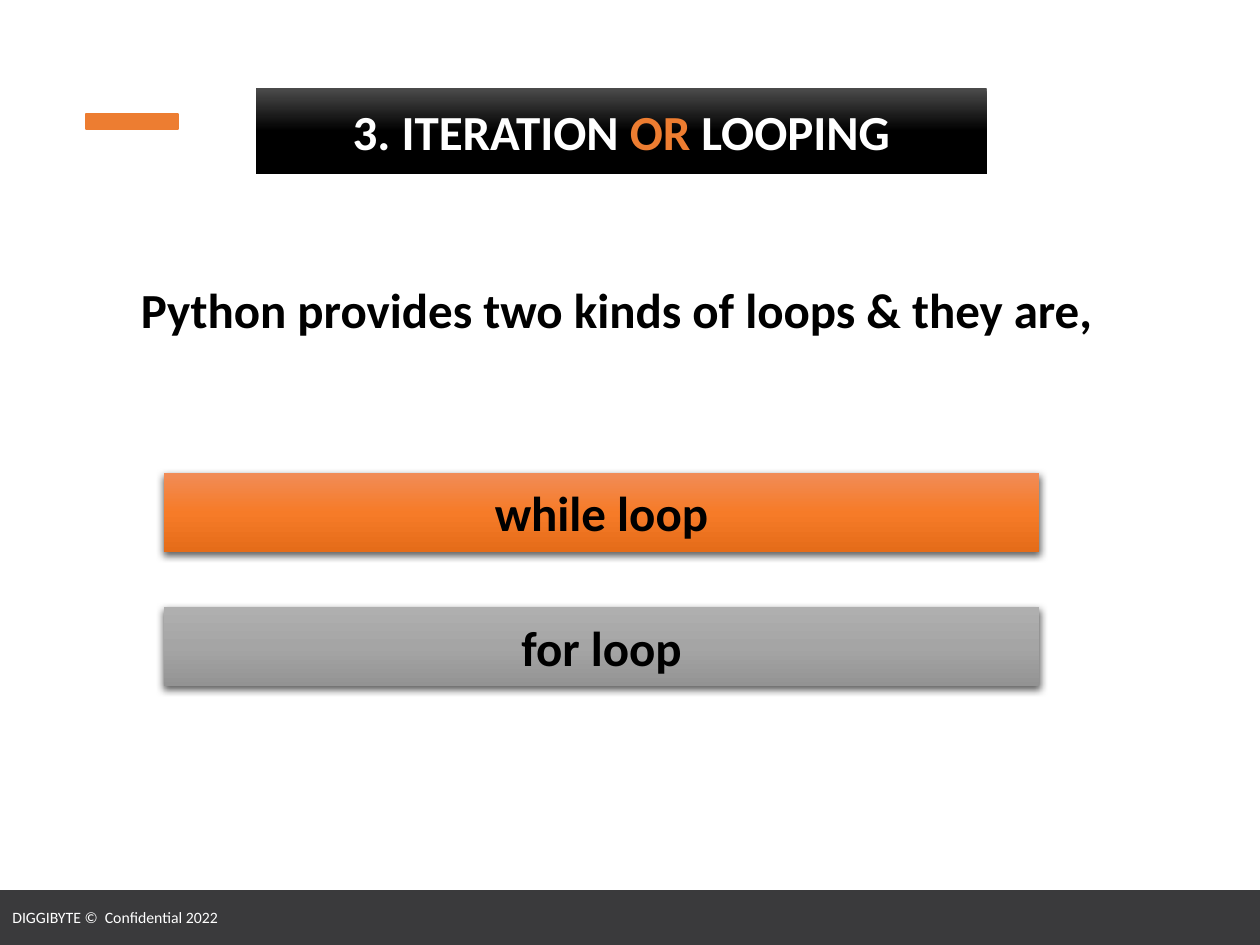
from lxml import etree
from pptx import Presentation
from pptx.dml.color import RGBColor
from pptx.enum.shapes import MSO_SHAPE
from pptx.enum.text import MSO_ANCHOR, PP_ALIGN
from pptx.oxml.ns import qn
from pptx.util import Cm, Pt

RECTANGLE = MSO_SHAPE.RECTANGLE
MIDDLE, TOP = MSO_ANCHOR.MIDDLE, MSO_ANCHOR.TOP
LEFT, CENTER = PP_ALIGN.LEFT, PP_ALIGN.CENTER

BLACK = RGBColor(0x00, 0x00, 0x00)
WHITE = RGBColor(0xFF, 0xFF, 0xFF)
ORANGE = RGBColor(0xED, 0x7D, 0x31)
CHARCOAL = RGBColor(0x3A, 0x3A, 0x3C)

# Gradient colours from top to bottom, evenly spaced
TITLE_SHADES = (RGBColor(0x4B, 0x4B, 0x4B), BLACK, BLACK)
ORANGE_SHADES = (RGBColor(0xF1, 0x8C, 0x57), RGBColor(0xF6, 0x7B, 0x28),
                 RGBColor(0xE5, 0x6C, 0x19))
GRAY_SHADES = (RGBColor(0xAF, 0xAF, 0xAF), RGBColor(0xA5, 0xA5, 0xA5),
               RGBColor(0x93, 0x93, 0x93))


class LoopSlide:
    FONT = "Calibri"
    SIZE = 28

    def __init__(self, deck):
        self.slide = deck.slides.add_slide(deck.slide_layouts[5])

    def set_text(self, shape, parts, align, anchor, size=SIZE, bold=True):
        """Fill the first paragraph with (text, colour) parts."""
        frame = shape.text_frame
        frame.word_wrap = True
        frame.vertical_anchor = anchor
        paragraph = frame.paragraphs[0]
        paragraph.alignment = align
        for text, color in parts:
            run = paragraph.add_run()
            run.text = text
            run.font.name = self.FONT
            run.font.size = Pt(size)
            run.font.bold = bold
            run.font.color.rgb = color
        return paragraph

    def shade(self, shape, colors):
        """Apply a vertical gradient with evenly spaced stops."""
        shape.fill.gradient()
        shape.fill.gradient_angle = 270
        stops = shape._element.spPr.find(qn("a:gradFill")).find(qn("a:gsLst"))
        for stop in list(stops):
            stops.remove(stop)
        for index, color in enumerate(colors):
            position = 100000 * index // (len(colors) - 1)
            stop = etree.SubElement(stops, qn("a:gs"), pos=str(position))
            etree.SubElement(stop, qn("a:srgbClr"), val=str(color))

    def drop_shadow(self, shape):
        effects = shape._element.spPr.find(qn("a:effectLst"))
        shadow = etree.SubElement(
            effects, qn("a:outerShdw"), blurRad=str(Pt(4.5)),
            dist=str(Pt(1.5)), dir="5400000", algn="ctr", rotWithShape="0")
        black = etree.SubElement(shadow, qn("a:srgbClr"), val=str(BLACK))
        etree.SubElement(black, qn("a:alpha"), val="63000")

    def title(self, parts, left, top, width, height):
        title = self.slide.shapes.title
        title.left, title.top = Cm(left), Cm(top)
        title.width, title.height = Cm(width), Cm(height)
        self.shade(title, TITLE_SHADES)
        self.set_text(title, parts, CENTER, MIDDLE)

    def bar(self, left, top, width, height, color):
        bar = self.slide.shapes.add_shape(
            RECTANGLE, Cm(left), Cm(top), Cm(width), Cm(height))
        bar.fill.solid()
        bar.fill.fore_color.rgb = color
        bar.line.color.rgb = color
        bar.line.width = Pt(1)
        bar.shadow.inherit = False
        return bar

    def statement(self, text, left, top, width, height):
        box = self.slide.shapes.add_textbox(
            Cm(left), Cm(top), Cm(width), Cm(height))
        self.set_text(box, [(text, BLACK)], LEFT, TOP).line_spacing = 0.9

    def loop_button(self, text, left, top, width, height, shades):
        button = self.slide.shapes.add_shape(
            RECTANGLE, Cm(left), Cm(top), Cm(width), Cm(height))
        self.shade(button, shades)
        button.line.fill.background()
        button.shadow.inherit = False
        self.drop_shadow(button)
        self.set_text(button, [(text, BLACK)], CENTER, MIDDLE)


def main():
    deck = Presentation()
    deck.slide_width, deck.slide_height = Cm(25.4), Cm(19.05)
    page = LoopSlide(deck)

    # Footer band and accent dash
    footer = page.bar(0, 17.96, 25.4, 1.07, CHARCOAL)
    page.set_text(footer, [("DIGGIBYTE ©  Confidential 2022", WHITE)],
                  LEFT, MIDDLE, size=9, bold=False)
    page.bar(1.74, 2.3, 1.85, 0.3, ORANGE)

    # Heading and introduction
    page.title([("3. ITERATION ", WHITE), ("OR", ORANGE), (" LOOPING", WHITE)],
               5.16, 1.78, 14.73, 1.73)
    page.statement("Python provides two kinds of loops & they are,",
                   2.59, 5.64, 21.23, 7.8)

    # The two kinds of loop
    loops = [("while loop", ORANGE_SHADES), ("for loop", GRAY_SHADES)]
    for row, (name, shades) in enumerate(loops):
        page.loop_button(name, 3.3, 9.53 + 2.71 * row, 17.65, 1.6, shades)

    deck.save("out.pptx")


if __name__ == "__main__":
    main()
